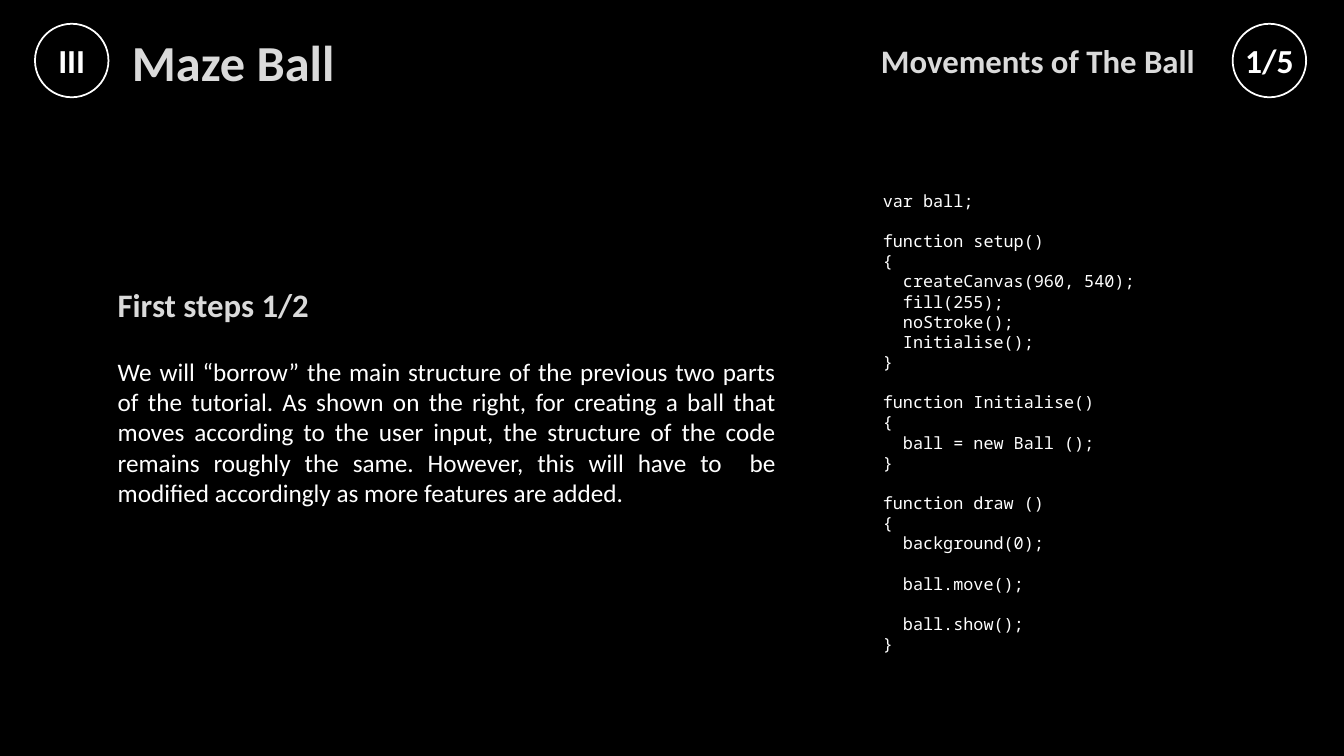
from dataclasses import dataclass

import pptx
import pptx.dml.color
import pptx.enum.shapes
import pptx.enum.text
import pptx.oxml
import pptx.oxml.ns
import pptx.util
from pptx.util import Pt

BLACK = pptx.dml.color.RGBColor(0x00, 0x00, 0x00)
WHITE = pptx.dml.color.RGBColor(0xFF, 0xFF, 0xFF)
SILVER = pptx.dml.color.RGBColor(0xDA, 0xDA, 0xDA)
SANS = "Calibri"
MONO = "Noto Sans Mono"
LEFT = pptx.enum.text.PP_ALIGN.LEFT
CENTER = pptx.enum.text.PP_ALIGN.CENTER
RIGHT = pptx.enum.text.PP_ALIGN.RIGHT
MIDDLE = pptx.enum.text.MSO_ANCHOR.MIDDLE

LEADING = 1.2  # line pitch as a multiple of the text size
BODY_SIZE = 18
CODE_SIZE = 12
INDENT = 14.4  # two monospaced characters

BODY = (
    "We will “borrow” the main structure of the previous two parts of the tutorial. "
    "As shown on the right, for creating a ball that moves according to the user input, "
    "the structure of the code remains roughly the same. However, this will have to  be "
    "modified accordingly as more features are added."
)


@dataclass(frozen=True)
class Heading:
    text: str
    left: float
    top: float
    width: float
    height: float
    size: float
    align: pptx.enum.text.PP_ALIGN


@dataclass(frozen=True)
class Badge:
    text: str
    left: float


@dataclass(frozen=True)
class CodeLine:
    text: str
    indented: bool = False
    gap_before: bool = False


TITLE = Heading("Maze Ball", 87, 24.5, 743, 38, 36, LEFT)
HEADINGS = [
    Heading("First steps 1/2", 77, 186, 469.5, 63.5, 23.4, LEFT),
    Heading("Movements of The Ball", 519, 11.5, 341.5, 63.5, 23.4, RIGHT),
]
BADGES = [Badge("III", 25), Badge("1/5", 880.5)]
CODE = [
    CodeLine("var ball;"),
    CodeLine("function setup()", gap_before=True),
    CodeLine("{"),
    CodeLine("createCanvas(960, 540);", indented=True),
    CodeLine("fill(255);", indented=True),
    CodeLine("noStroke();", indented=True),
    CodeLine("Initialise();", indented=True),
    CodeLine("}"),
    CodeLine("function Initialise()", gap_before=True),
    CodeLine("{"),
    CodeLine("ball = new Ball ();", indented=True),
    CodeLine("}"),
    CodeLine("function draw ()", gap_before=True),
    CodeLine("{"),
    CodeLine("background(0);", indented=True),
    CodeLine("ball.move();", indented=True, gap_before=True),
    CodeLine("ball.show();", indented=True, gap_before=True),
    CodeLine("}"),
]


def add_span(para, text: str, size: float, color, font: str = SANS, bold: bool = False):
    span = para.add_run()
    span.text = text
    span.font.name = font
    span.font.size = Pt(size)
    span.font.bold = bold
    span.font.color.rgb = color
    return span


def add_text_box(page, left: float, top: float, width: float, height: float):
    box = page.shapes.add_textbox(Pt(left), Pt(top), Pt(width), Pt(height))
    box.text_frame.word_wrap = True
    return box


def outline_span(span) -> None:
    """Give the letters a faint, mostly transparent grey edge."""
    line = pptx.oxml.parse_xml(
        f'<a:ln {pptx.oxml.ns.nsdecls("a")} w="{Pt(0.75)}"><a:solidFill>'
        '<a:srgbClr val="404040"><a:alpha val="10000"/></a:srgbClr>'
        "</a:solidFill></a:ln>"
    )
    span.font._element.insert(0, line)


def write_heading(box, heading: Heading) -> None:
    frame = box.text_frame
    frame.word_wrap = True
    frame.auto_size = pptx.enum.text.MSO_AUTO_SIZE.NONE
    frame.vertical_anchor = MIDDLE
    para = frame.paragraphs[0]
    para.alignment = heading.align
    outline_span(add_span(para, heading.text, heading.size, SILVER, bold=True))


def add_title(page, heading: Heading) -> None:
    title = page.shapes.title
    title.left, title.top = Pt(heading.left), Pt(heading.top)
    title.width, title.height = Pt(heading.width), Pt(heading.height)
    write_heading(title, heading)


def add_heading(page, heading: Heading) -> None:
    box = add_text_box(page, heading.left, heading.top, heading.width, heading.height)
    write_heading(box, heading)


def add_body(page) -> None:
    box = add_text_box(page, 77, 186, 484.5, 181.5)
    pitch = BODY_SIZE * LEADING
    box.text_frame.margin_top = Pt(3.6 + 3 * pitch)  # room for the heading
    para = box.text_frame.paragraphs[0]
    para.alignment = pptx.enum.text.PP_ALIGN.JUSTIFY
    para.line_spacing = Pt(pitch)
    add_span(para, BODY, BODY_SIZE, WHITE)


def add_code(page, lines: list[CodeLine]) -> None:
    frame = add_text_box(page, 623.5, 132.5, 321, 342).text_frame
    pitch = Pt(CODE_SIZE * LEADING)
    for index, line in enumerate(lines):
        para = frame.add_paragraph() if index else frame.paragraphs[0]
        para.line_spacing = pitch
        if line.gap_before:
            para.space_before = pitch
        if line.indented:
            para._p.get_or_add_pPr().set("marL", str(Pt(INDENT)))
        add_span(para, line.text, CODE_SIZE, WHITE, MONO)


def add_badge(page, badge: Badge) -> None:
    circle = page.shapes.add_shape(
        pptx.enum.shapes.MSO_SHAPE.OVAL, Pt(badge.left), Pt(17), Pt(52.5), Pt(52.5)
    )
    circle.shadow.inherit = False
    circle.fill.background()
    circle.line.color.rgb = WHITE
    circle.line.width = Pt(1.25)
    frame = circle.text_frame
    frame.margin_left = frame.margin_right = Pt(0)
    frame.margin_top = frame.margin_bottom = Pt(0)
    frame.vertical_anchor = MIDDLE
    para = frame.paragraphs[0]
    para.alignment = CENTER
    add_span(para, badge.text, 24, WHITE, bold=True)


def main() -> None:
    deck = pptx.Presentation()
    deck.slide_width, deck.slide_height = Pt(960), Pt(540)
    page = deck.slides.add_slide(deck.slide_layouts.get_by_name("Title Only"))
    page.background.fill.solid()
    page.background.fill.fore_color.rgb = BLACK

    # Main text and code
    add_body(page)
    add_code(page, CODE)

    # Title and headings
    add_title(page, TITLE)
    for heading in HEADINGS:
        add_heading(page, heading)

    # Numbered circles
    for badge in BADGES:
        add_badge(page, badge)

    deck.save("out.pptx")


if __name__ == "__main__":
    main()
